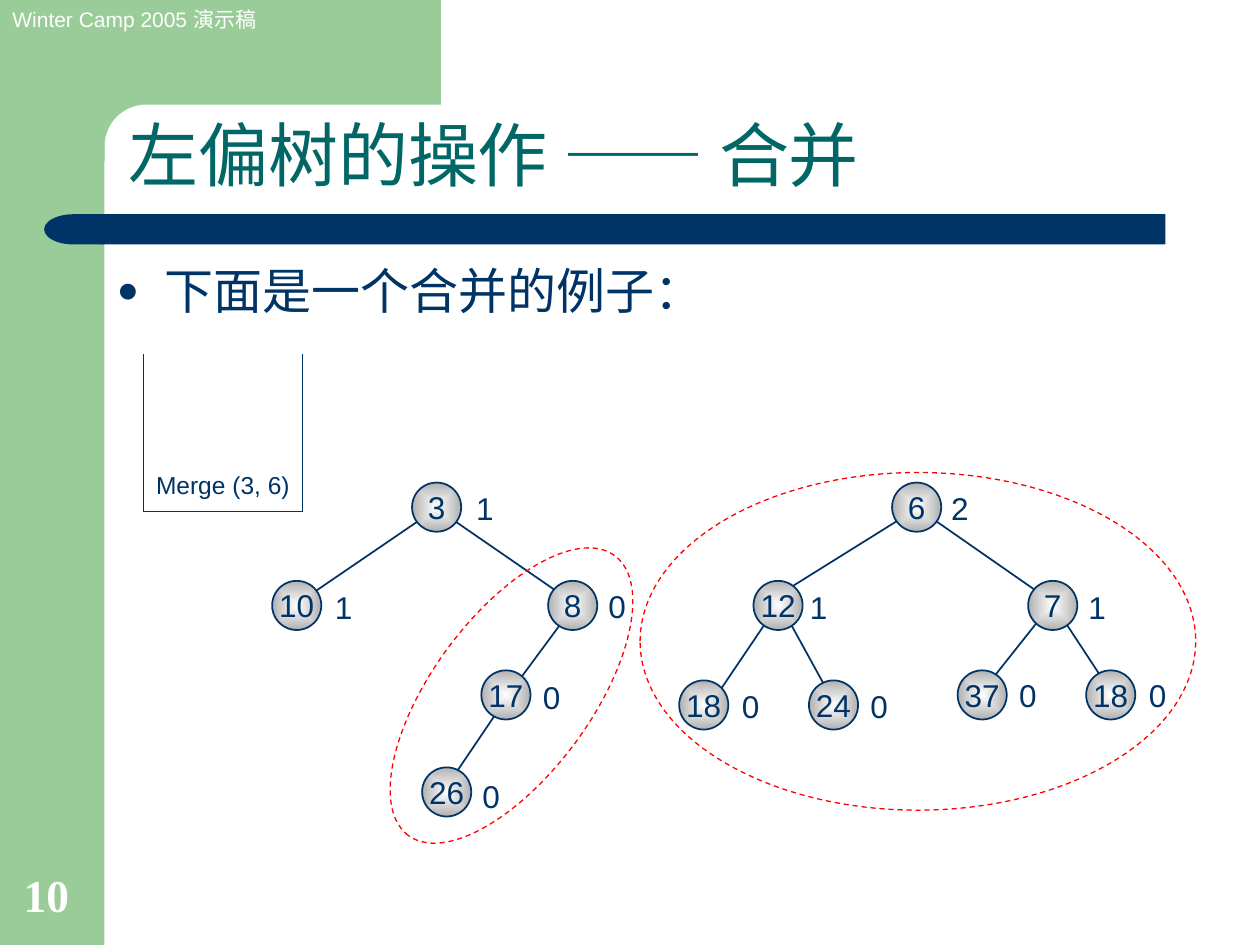
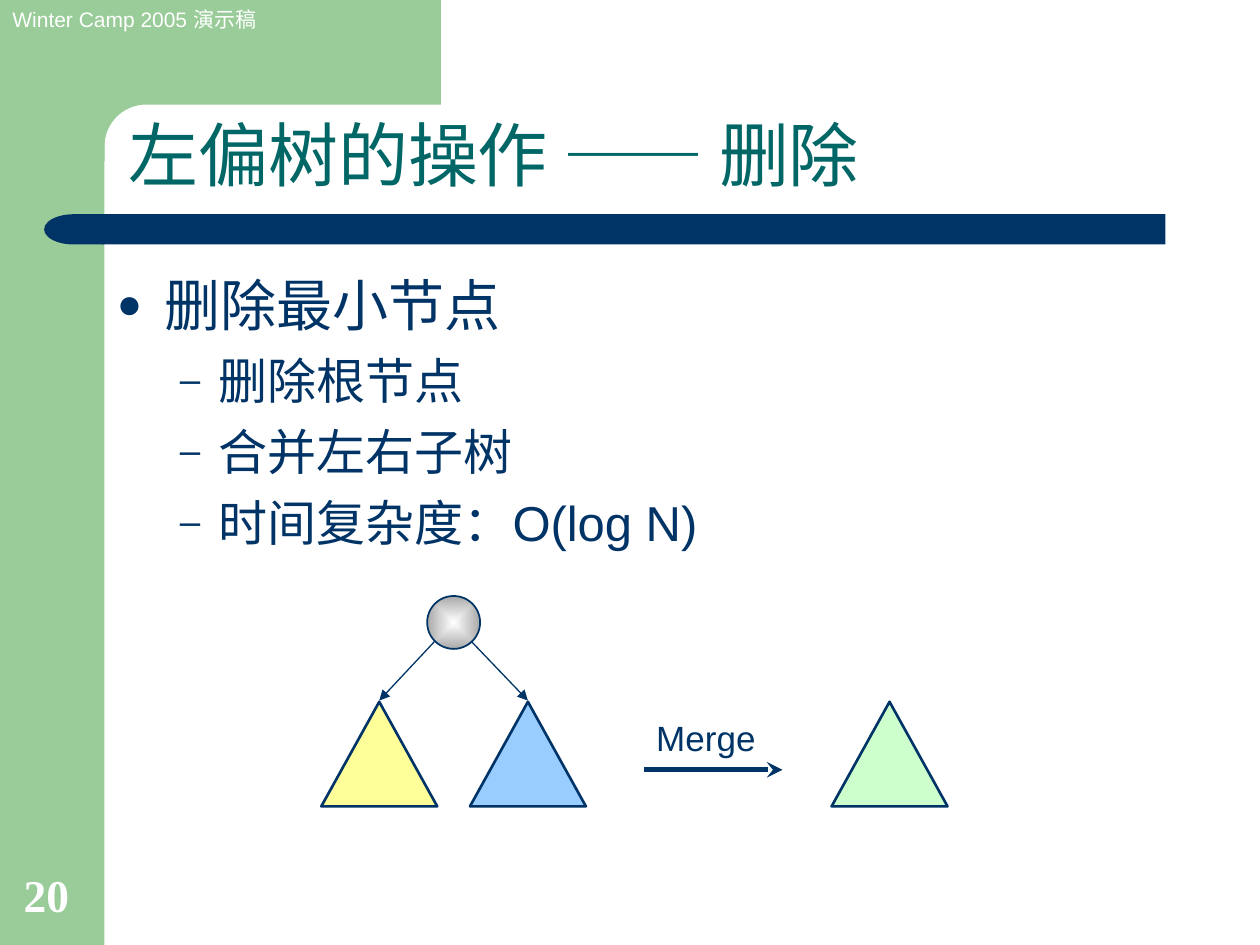
import math

from lxml import etree
from pptx import Presentation
from pptx.dml.color import RGBColor
from pptx.enum.dml import MSO_LINE
from pptx.enum.shapes import MSO_CONNECTOR, MSO_SHAPE
from pptx.enum.text import MSO_ANCHOR, PP_ALIGN
from pptx.oxml.ns import qn
from pptx.util import Inches, Pt

NAVY = RGBColor(0x00, 0x33, 0x66)
TEAL = RGBColor(0x00, 0x66, 0x66)
GREEN = RGBColor(0x99, 0xCC, 0x99)
WHITE = RGBColor(0xFF, 0xFF, 0xFF)
GREY = RGBColor(0xB1, 0xB1, 0xB1)
DARK_GREY = RGBColor(0xA9, 0xA9, 0xA9)
RED = RGBColor(0xFF, 0x00, 0x00)
YELLOW = RGBColor(0xFF, 0xFF, 0x99)
BLUE = RGBColor(0x99, 0xCC, 0xFF)
MINT = RGBColor(0xCC, 0xFF, 0xCC)

RECTANGLE = MSO_SHAPE.RECTANGLE
ELLIPSE = MSO_SHAPE.OVAL
TRIANGLE = MSO_SHAPE.ISOSCELES_TRIANGLE
DELAY = MSO_SHAPE.FLOWCHART_DELAY
STRAIGHT = MSO_CONNECTOR.STRAIGHT
DASH = MSO_LINE.DASH
TOP, MIDDLE, BOTTOM = MSO_ANCHOR.TOP, MSO_ANCHOR.MIDDLE, MSO_ANCHOR.BOTTOM
LEFT, CENTER = PP_ALIGN.LEFT, PP_ALIGN.CENTER

COLUMNS, ROWS = 100, 75
NODE_SIZE = 3.9

# Bullet levels: character, left indent, hanging indent (columns)
BULLETS = [("●", 3.8, 3.8), ("–", 8.1, 3.1)]

# Nodes: value, column, row, distance, distance offset, edge from the parent
LEFT_TREE = [
    ("3", 32.7, 38.3, "1", (4.1, 0), None),
    ("10", 21.6, 46.1, "1", (4, 0.1), (34.3, 40.6, 23.9, 47.7)),
    ("8", 43.5, 46.1, "0", (3.8, 0), (35, 40.6, 45.3, 47.7)),
    ("17", 38.2, 53.2, "0", (3.9, 0.1), (45.4, 48.3, 40.3, 55.2)),
    ("26", 33.5, 60.9, "0", (3.8, 0.3), (40, 55.7, 35.2, 62.8)),
]
RIGHT_TREE = [
    ("6", 70.8, 38.3, "2", (3.7, 0), None),
    ("12", 59.8, 46.1, "1", (3.5, 0.1), (72.4, 40.6, 62.3, 46.9)),
    ("7", 81.6, 46.1, "1", (3.8, 0.1), (73.2, 40.6, 83.4, 47.7)),
    ("18", 53.9, 54, "0", (4, 0), (61.4, 48.5, 56.6, 55.6)),
    ("24", 64.2, 54, "0", (3.9, 0), (62.2, 48.5, 66.1, 55.6)),
    ("37", 76, 53.2, "0", (3.9, 0), (83.1, 48.4, 78.1, 54.7)),
    ("18", 86.2, 53.2, "0", (4, 0), (83.7, 48.1, 88.1, 54.8)),
]


class Deck:
    """Style and current slide; lengths are columns and rows of the grid."""

    def __init__(self):
        self.deck = Presentation()
        self.deck.slide_width, self.deck.slide_height = Inches(10), Inches(7.5)
        self.column = self.deck.slide_width / COLUMNS
        self.row = self.deck.slide_height / ROWS
        self.page = None

    def place(self, *lengths):
        """Turn alternating columns and rows into slide units."""
        return [round(length * (self.row if index % 2 else self.column))
                for index, length in enumerate(lengths)]

    def new_page(self, title, number):
        self.page = self.deck.slides.add_slide(self.deck.slide_layouts[6])
        self.shape(RECTANGLE, (0, 0, 8.3, 75), GREEN)
        self.corner()
        self.shape(RECTANGLE, (8.1, 17, 84.4, 2.4), NAVY)
        self.shape(DELAY, (3.5, 17, 4.7, 2.4), NAVY).rotation = 180
        header = self.text("Winter Camp 2005 演示稿", (0, 0, 22.8, 3), 12, WHITE)
        header.space_before = Pt(7.5)
        heading = self.text(title, (9.2, 9.3, 83.2, 6.8), 40, TEAL, BOTTOM)
        heading.line_spacing = 0.9
        footer = self.text(number, (0.9, 68.3, 6.4, 5.3), 26, WHITE, BOTTOM)
        self.style(footer, 26, WHITE, "Times New Roman", True)

    def corner(self):
        """Top band whose inner corner is rounded."""
        centre, radius = 11.6, 3.3
        arc = [(centre - radius * math.sin(angle), centre - radius * math.cos(angle))
               for angle in (math.radians(degree) for degree in range(0, 91, 5))]
        outline = [(35, 8.3), *arc, (8.3, 12.8), (5, 12.8), (5, 0)]
        builder = self.page.shapes.build_freeform(*self.place(35, 0))
        builder.add_line_segments([self.place(*point) for point in outline])
        self.paint(builder.convert_to_shape(), GREEN)

    def paint(self, shape, fill=None, line=None, width=1):
        shape.shadow.inherit = False
        if fill is None:
            shape.fill.background()
        else:
            shape.fill.solid()
            shape.fill.fore_color.rgb = fill
        if line is None:
            shape.line.fill.background()
        else:
            shape.line.color.rgb = line
            shape.line.width = Pt(width)

    def shape(self, kind, area, fill=None, line=None, width=1):
        shape = self.page.shapes.add_shape(kind, *self.place(*area))
        self.paint(shape, fill, line, width)
        return shape

    def style(self, para, size, color, font="Arial", bold=False):
        for span in para.runs:
            span.font.name = font
            span.font.size = Pt(size)
            span.font.bold = bold
            span.font.color.rgb = color

    def fill_frame(self, frame, words, size, color, anchor, align, wrap):
        frame.word_wrap = wrap
        frame.vertical_anchor = anchor
        frame.text = words
        para = frame.paragraphs[0]
        para.alignment = align
        self.style(para, size, color)
        return para

    def text(self, words, area, size, color=NAVY, anchor=TOP, wrap=True):
        box = self.page.shapes.add_textbox(*self.place(*area))
        return self.fill_frame(box.text_frame, words, size, color, anchor, LEFT, wrap)

    def bullets(self, area, items):
        """Set (level, size, words) items as a bulleted list."""
        frame = self.page.shapes.add_textbox(*self.place(*area)).text_frame
        frame.word_wrap = True
        for index, (level, size, words) in enumerate(items):
            para = frame.add_paragraph() if index else frame.paragraphs[0]
            para.text = words
            para.level = level
            para.space_before = Pt(size / 4)
            self.style(para, size, NAVY)
            mark, margin, hanging = BULLETS[level]
            properties = para._p.get_or_add_pPr()
            properties.set("marL", str(round(margin * self.column)))
            properties.set("indent", str(round(-hanging * self.column)))
            color = etree.SubElement(properties, qn("a:buClr"))
            etree.SubElement(color, qn("a:srgbClr"), val=str(NAVY))
            etree.SubElement(properties, qn("a:buSzPct"), val="75000")
            etree.SubElement(properties, qn("a:buFont"), typeface="Arial")
            etree.SubElement(properties, qn("a:buChar"), char=mark)

    def line(self, ends, width=1, arrow=None):
        line = self.page.shapes.add_connector(STRAIGHT, *self.place(*ends))
        line.line.color.rgb = NAVY
        line.line.width = Pt(width)
        properties = line.element.spPr
        if arrow:
            outline = properties.find(qn("a:ln"))
            etree.SubElement(outline, qn("a:tailEnd"), type=arrow)
        etree.SubElement(properties, qn("a:effectLst"))

    def node(self, column, row, size=NODE_SIZE, rim=GREY, value=""):
        """Circle that is white in the centre and grey at the rim."""
        circle = self.shape(ELLIPSE, (column, row, size, size), WHITE, NAVY)
        circle.fill.gradient()
        for stop, color in zip(circle.fill.gradient_stops, (WHITE, rim)):
            stop.color.rgb = color
        gradient = circle.element.spPr.find(qn("a:gradFill"))
        linear = gradient.find(qn("a:lin"))
        centred = etree.Element(qn("a:path"), {"path": "rect"})
        sides = dict.fromkeys("ltrb", "50000")
        etree.SubElement(centred, qn("a:fillToRect"), sides)
        gradient.replace(linear, centred)
        if value:
            self.fill_frame(circle.text_frame, value, 18, NAVY, MIDDLE, CENTER, False)

    def tree(self, nodes):
        for *_, edge in nodes:
            if edge:
                self.line(edge)
        for value, column, row, distance, (right, down), _ in nodes:
            self.node(column, row, value=value)
            self.text(distance, (column + right, row + down, 3.4, 4), 18, wrap=False)

    def dashed_ellipse(self, area, rotation=0):
        ellipse = self.shape(ELLIPSE, area, None, RED, 0.75)
        ellipse.line.dash_style = DASH
        ellipse.rotation = rotation


def merge_page(deck):
    deck.new_page("左偏树的操作 —— 合并", "10")
    deck.bullets((8.3, 20.2, 84.3, 48.8), [(0, 28, "下面是一个合并的例子：")])
    deck.tree(RIGHT_TREE)
    deck.tree(LEFT_TREE)
    deck.text("Merge (3, 6)", (11.4, 36.7, 12.6, 3.4), 14, anchor=BOTTOM)
    stack = [(11.4, 28.1), (11.4, 40.6), (24, 40.6), (24, 28.1)]
    for start, end in zip(stack, stack[1:]):
        deck.line((*start, *end), 0.75)
    deck.dashed_ellipse((26.8, 48.9, 27.6, 12.6), 306.4)
    deck.dashed_ellipse((50.8, 37.5, 44.1, 26.8))


def delete_page(deck):
    deck.new_page("左偏树的操作 —— 删除", "20")
    deck.bullets((8.3, 21, 84.3, 48), [
        (0, 32, "删除最小节点"),
        (1, 28, "删除根节点"),
        (1, 28, "合并左右子树"),
        (1, 28, "时间复杂度：O(log N)"),
    ])
    deck.node(33.9, 47.3, 4.2, DARK_GREY)
    for column, color in ((25.5, YELLOW), (37.3, BLUE), (66, MINT)):
        deck.shape(TRIANGLE, (column, 55.7, 9.2, 8.3), color, NAVY, 1.5)
    for start, end in ((34.5, 30.1), (37.4, 41.9)):
        deck.line((start, 50.9, end, 55.6), 0.75, "triangle")
    deck.line((51.1, 61.1, 62.1, 61.1), 3, "stealth")
    deck.text("Merge", (51.1, 56.4, 10, 4.4), 20)


def main():
    deck = Deck()
    merge_page(deck)
    delete_page(deck)
    deck.deck.save("out.pptx")


if __name__ == "__main__":
    main()
